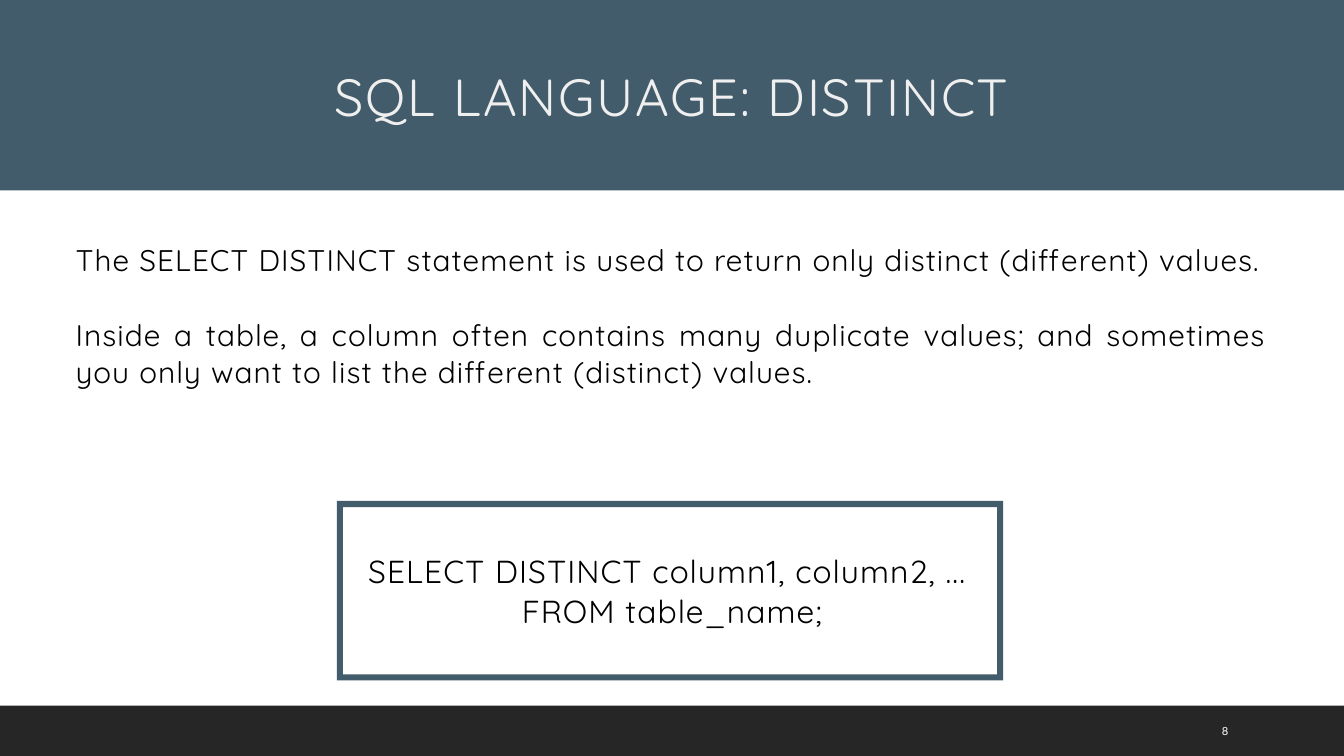
from pptx import Presentation
from pptx.dml.color import RGBColor
from pptx.enum.shapes import MSO_SHAPE
from pptx.enum.text import MSO_ANCHOR, PP_ALIGN
from pptx.util import Inches, Pt

SLATE = RGBColor(0x42, 0x5C, 0x6B)
CHARCOAL = RGBColor(0x26, 0x26, 0x26)
PALE = RGBColor(0xEF, 0xEF, 0xEF)
BLACK = RGBColor(0x00, 0x00, 0x00)
WHITE = RGBColor(0xFF, 0xFF, 0xFF)


class SlideBuilder:
    """Holds the slide being built and its text style."""

    font_name = "Quicksand"

    def __init__(self, slide):
        self.slide = slide

    def block(self, left, top, width, height, color, kind=MSO_SHAPE.RECTANGLE):
        """Add a filled preset shape without outline or shadow."""
        shape = self.slide.shapes.add_shape(
            kind, Inches(left), Inches(top), Inches(width), Inches(height))
        shape.shadow.inherit = False
        shape.fill.solid()
        shape.fill.fore_color.rgb = color
        shape.line.fill.background()
        return shape

    def frame(self, left, top, width, height, thickness, color):
        shape = self.block(left, top, width, height, color, MSO_SHAPE.FRAME)
        shape.adjustments[0] = thickness / min(width, height)

    def text(self, left, top, width, height, lines, size, color, alignment,
             line_spacing, tracking, gap=0):
        """Add a text box without insets; gap is the space between paragraphs."""
        box = self.slide.shapes.add_textbox(
            Inches(left), Inches(top), Inches(width), Inches(height))
        text_frame = box.text_frame
        text_frame.word_wrap = True
        text_frame.margin_left = text_frame.margin_right = 0
        text_frame.margin_top = text_frame.margin_bottom = 0
        text_frame.text = "\n".join(lines)
        for index, paragraph in enumerate(text_frame.paragraphs):
            paragraph.alignment = alignment
            paragraph.line_spacing = Pt(line_spacing)
            if index and gap:
                paragraph.space_before = Pt(gap)
            for run in paragraph.runs:
                self.format_run(run, self.font_name, size, color)
                run._r.get_or_add_rPr().set("spc", str(round(tracking * 100)))

    def page_number(self, left, top, width, height, number):
        box = self.slide.shapes.add_textbox(
            Inches(left), Inches(top), Inches(width), Inches(height))
        text_frame = box.text_frame
        text_frame.word_wrap = True
        text_frame.vertical_anchor = MSO_ANCHOR.MIDDLE
        text_frame.text = str(number)
        self.format_run(text_frame.paragraphs[0].runs[0], "Lato", 8, WHITE)

    def format_run(self, run, name, size, color):
        run.font.name = name
        run.font.size = Pt(size)
        run.font.color.rgb = color


def main():
    presentation = Presentation()
    presentation.slide_width = Inches(13.33)
    presentation.slide_height = Inches(7.5)
    builder = SlideBuilder(presentation.slides.add_slide(presentation.slide_layouts[6]))

    builder.block(0, 7, 13.33, 0.5, CHARCOAL)
    builder.block(-0.06, -0.03, 13.5, 1.92, SLATE)
    builder.text(1.99, 0.61, 9.35, 0.61, ["SQL LANGUAGE: DISTINCT"],
                 37.3, PALE, PP_ALIGN.CENTER, 46.7, 1.3)

    explanation = [
        "The SELECT DISTINCT statement is used to return only distinct (different) values.",
        "Inside a table, a column often contains many duplicate values; "
        "and sometimes you only want to list the different (distinct) values.",
    ]
    builder.text(0.75, 2.38, 11.83, 1.86, explanation,
                 21.3, BLACK, PP_ALIGN.JUSTIFY, 26.7, 0.8, gap=26.7)

    query = ["SELECT DISTINCT column1, column2, ... ", "FROM table_name;"]
    builder.text(0, 5.46, 13.33, 0.76, query,
                 22.7, BLACK, PP_ALIGN.CENTER, 28.3, 0.8)
    builder.frame(3.34, 4.97, 6.61, 1.78, 0.06, SLATE)

    builder.page_number(12.02, 7.05, 0.85, 0.4, 8)
    presentation.save("out.pptx")


if __name__ == "__main__":
    main()
